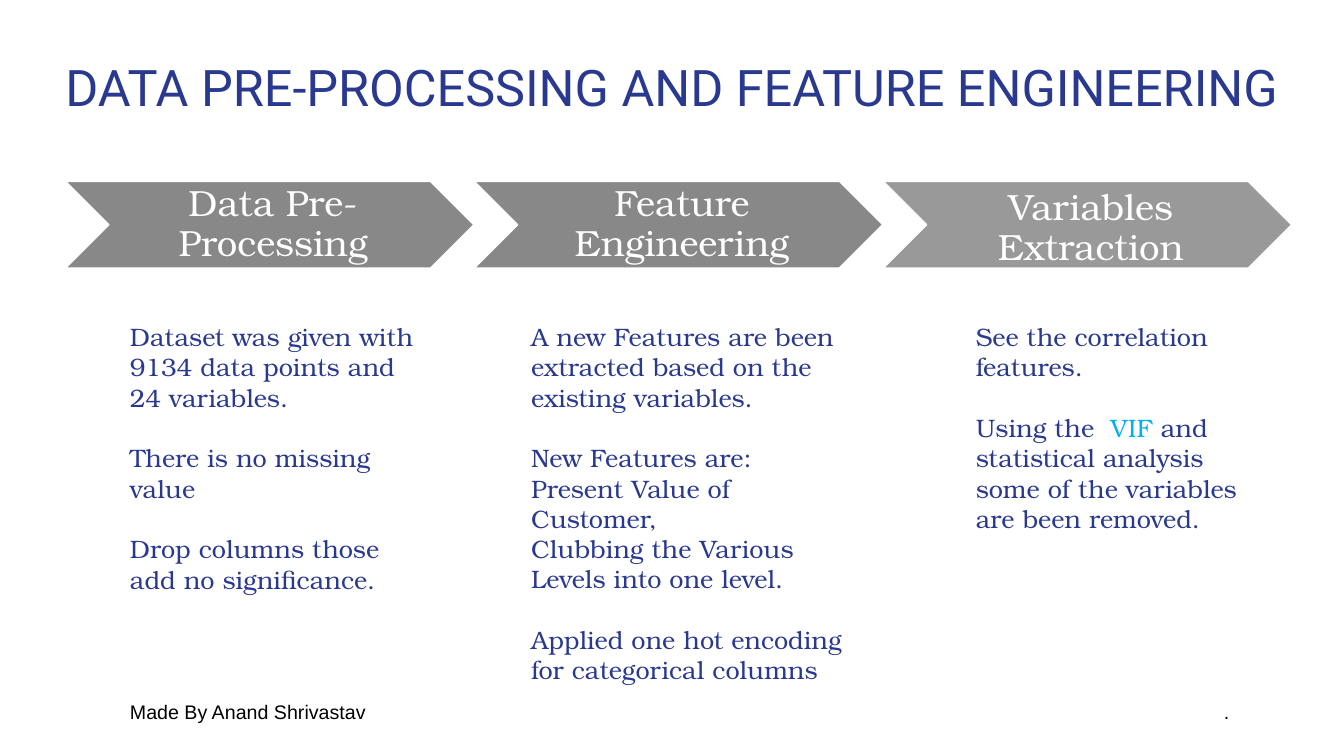
import pptx
import pptx.dml.color
import pptx.enum.shapes
import pptx.enum.text
import pptx.util

ALIGN = pptx.enum.text.PP_ALIGN
ANCHOR = pptx.enum.text.MSO_ANCHOR
COLUMNS, ROWS = 133.3, 75
NAVY, CYAN, WHITE, BLACK = "2A3990", "00B0F0", "FFFFFF", "000000"
SERIF = "TeX Gyre Bonum"
GAP = 21.75


def color(value):
    """Turn a hex string into a colour."""
    return pptx.dml.color.RGBColor.from_string(value)


class ProcessSlide:
    """Draw elements on one slide, placed by columns and rows of a fine grid."""

    def __init__(self, deck):
        """Add a blank slide and measure its grid."""
        self.slide = deck.slides.add_slide(deck.slide_layouts[6])
        self.column = deck.slide_width / COLUMNS
        self.row = deck.slide_height / ROWS

    def place(self, left, top, width, height):
        """Convert grid units to slide lengths."""
        steps = (self.column, self.row, self.column, self.row)
        return [round(n * step) for n, step in zip((left, top, width, height), steps)]

    def fill_text(self, frame, paragraphs, size, font, ink, align=ALIGN.LEFT, spacing=None):
        """Fill a frame with paragraphs of (gap before, [(words, colour), ...])."""
        frame.word_wrap = True
        for index, (gap, runs) in enumerate(paragraphs):
            paragraph = frame.paragraphs[0] if index == 0 else frame.add_paragraph()
            paragraph.alignment = align
            paragraph.line_spacing = spacing
            paragraph.space_before = pptx.util.Pt(gap)
            paragraph.font.size = pptx.util.Pt(size)
            paragraph.font.name = font
            if len(runs) == 1:
                paragraph.font.color.rgb = color(ink)
            for words, run_ink in runs:
                run = paragraph.add_run()
                run.text = words
                if len(runs) > 1:
                    run.font.color.rgb = color(run_ink)

    def text(self, box, paragraphs, size, font, ink, anchor=ANCHOR.MIDDLE, **style):
        """Add a wrapping text box."""
        frame = self.slide.shapes.add_textbox(*self.place(*box)).text_frame
        frame.vertical_anchor = anchor
        self.fill_text(frame, paragraphs, size, font, ink, **style)

    def chevron(self, box, label, fill, top_inset, bottom_inset):
        """Add a labelled chevron step."""
        step = self.slide.shapes.add_shape(
            pptx.enum.shapes.MSO_SHAPE.CHEVRON, *self.place(*box))
        step.shadow.inherit = False
        step.fill.solid()
        step.fill.fore_color.rgb = color(fill)
        step.line.color.rgb = color(WHITE)
        step.line.width = pptx.util.Pt(1)
        frame = step.text_frame
        frame.vertical_anchor = ANCHOR.MIDDLE
        frame.margin_left = pptx.util.Inches(0.11)
        frame.margin_right = pptx.util.Inches(0.04)
        frame.margin_top = pptx.util.Inches(top_inset)
        frame.margin_bottom = pptx.util.Inches(bottom_inset)
        self.fill_text(frame, [(0, [(label, WHITE)])], 26, SERIF, WHITE,
                       align=ALIGN.CENTER, spacing=0.9)


def plain(words, gap=0):
    """Describe a paragraph in the body colour."""
    return gap, [(words, NAVY)]


STEPS = [
    ("Data Pre-Processing", "888888", 0.04, 0.04, 11.9, 31.7, 25.2, [
        plain("Dataset was given with 9134 data points and 24 variables."),
        plain("There is no missing value", GAP),
        plain("Drop columns those add no significance.", GAP),
    ]),
    ("Feature Engineering", "888888", 0.04, 0.04, 51.7, 33.2, 34.3, [
        plain("A new Features are been extracted based on the existing variables."),
        plain("New Features are:", GAP),
        plain("Present Value of Customer,"),
        plain("Clubbing the Various Levels into one level."),
        plain("Applied one hot encoding for categorical columns", GAP),
    ]),
    ("Variables Extraction", "999999", 0.08, 0, 95.8, 31.7, 22.2, [
        plain("See the correlation features."),
        (GAP, [("Using the  ", NAVY), ("VIF", CYAN),
               (" and statistical analysis some of the variables are been removed.", NAVY)]),
    ]),
]


def main():
    """Build and save the slide."""
    deck = pptx.Presentation()
    deck.slide_width = pptx.util.Inches(13.33)
    deck.slide_height = pptx.util.Inches(7.5)
    page = ProcessSlide(deck)
    page.text((0, 4, COLUMNS, 10), [plain("DATA PRE-PROCESSING AND FEATURE ENGINEERING")],
              36, "Roboto", NAVY, align=ALIGN.CENTER, spacing=0.9)
    for index, (label, fill, top, bottom, left, width, height, details) in enumerate(STEPS):
        page.chevron((6.5 + 40.55 * index, 18, 40.5, 8.6), label, fill, top, bottom)
        page.text((left, 31.4, width, height), details, 18, SERIF, NAVY, anchor=ANCHOR.TOP)
    page.text((11.9, 68.6, 69.2, 4), [(0, [("Made By Anand Shrivastav", BLACK)])],
              14, "Arial", BLACK)
    page.text((87.1, 68.6, 35.8, 4), [(0, [(".", BLACK)])],
              14, "Arial", BLACK, align=ALIGN.RIGHT)
    deck.save("out.pptx")


if __name__ == "__main__":
    main()
